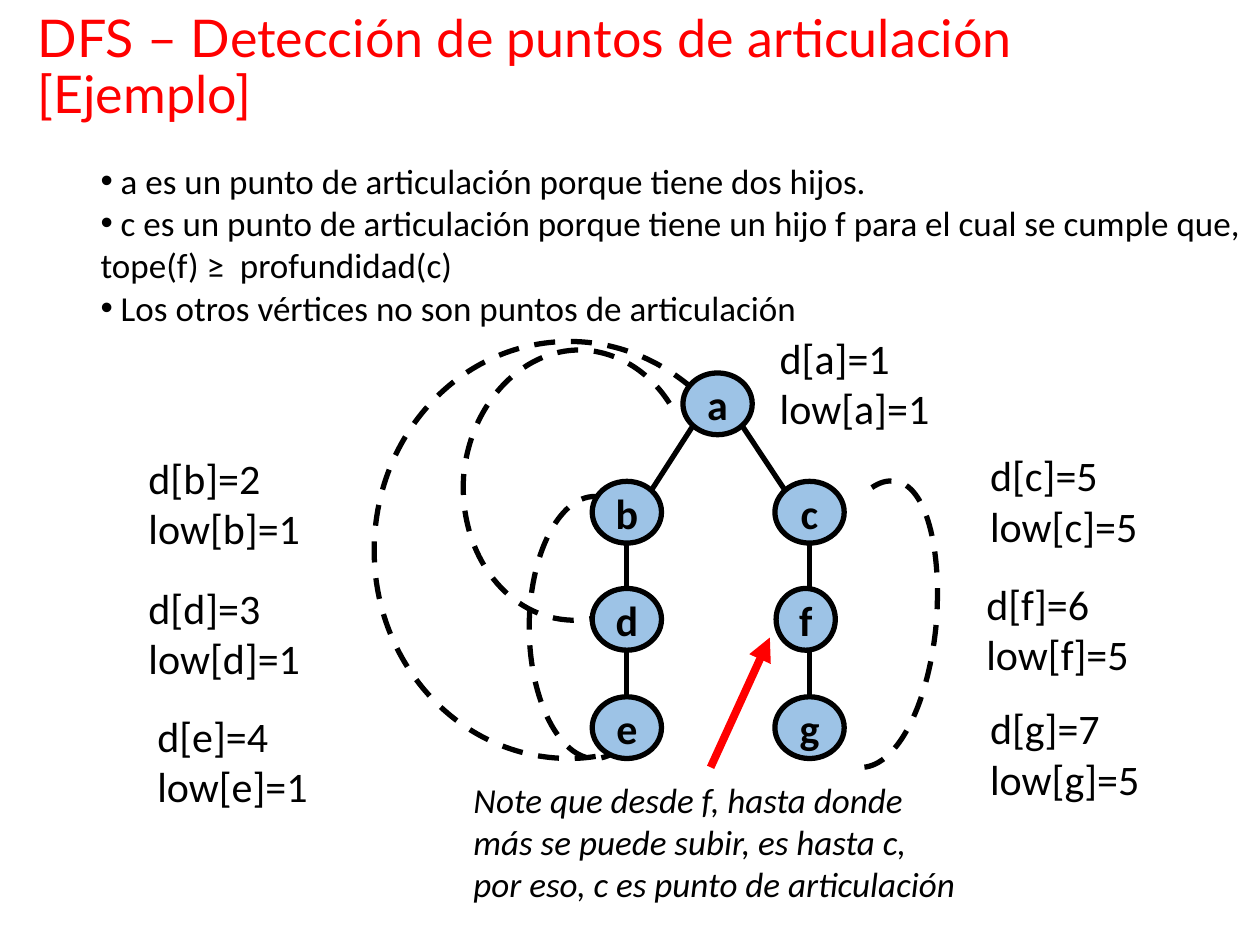
from lxml.etree import SubElement
from math import cos, sin, radians
from pptx import Presentation
from pptx.dml.color import RGBColor
from pptx.enum.dml import MSO_LINE
from pptx.enum.shapes import MSO_CONNECTOR as CONNECTOR, MSO_SHAPE as SHAPE
from pptx.enum.text import MSO_ANCHOR as ANCHOR, PP_ALIGN as ALIGN
from pptx.oxml.ns import qn
from pptx.util import Inches, Pt

BLACK, RED, BLUE = "000000", "FF0000", "9DC3E6"


def color(value):
    return RGBColor.from_string(value)


def write(frame, lines, size=24, font="Calibri", ink=BLACK, bold=False, italic=False,
          align=ALIGN.LEFT, anchor=ANCHOR.TOP, spacing=None, bullet=None, wrap=True):
    frame.word_wrap = wrap
    frame.vertical_anchor = anchor
    for index, line in enumerate(lines):
        paragraph = frame.add_paragraph() if index else frame.paragraphs[0]
        paragraph.text = line
        paragraph.alignment = align
        if spacing:
            paragraph.line_spacing = spacing
        if bullet:
            properties = paragraph._p.get_or_add_pPr()
            SubElement(properties, qn("a:buFont")).set("typeface", "Arial")
            SubElement(properties, qn("a:buChar")).set("char", bullet)
        style = paragraph.font
        style.size, style.name = Pt(size), font
        style.bold, style.italic = bold, italic
        style.color.rgb = color(ink)


def add_text(slide, box, lines, **style):
    frame = slide.shapes.add_textbox(*map(Inches, box)).text_frame
    write(frame, lines, **style)


def set_line(shape, ink=BLACK, width=3):
    shape.line.color.rgb = color(ink)
    shape.line.width = Pt(width)


def add_edge(slide, start, end, ink=BLACK, width=3, arrow=False):
    edge = slide.shapes.add_connector(CONNECTOR.STRAIGHT, *map(Inches, (*start, *end)))
    set_line(edge, ink, width)
    if arrow:
        SubElement(edge.line._get_or_add_ln(), qn("a:tailEnd")).set("type", "triangle")
    SubElement(edge._element.spPr, qn("a:effectLst"))


def add_back_edge(slide, left, top, controls):
    points = [(Inches(left + x), Inches(top + y)) for x, y in controls]
    builder = slide.shapes.build_freeform(*points[0])
    builder.add_line_segments(points[1:], close=False)
    curve = builder.convert_to_shape()
    outline = next(curve._element.iter(qn("a:pathLst")))[0]
    segments = outline.findall(qn("a:lnTo"))
    for first in range(0, len(segments), 3):
        bezier = SubElement(outline, qn("a:cubicBezTo"))
        for segment in segments[first:first + 3]:
            bezier.append(segment[0])
            outline.remove(segment)
    curve.shadow.inherit = False
    curve.fill.background()
    set_line(curve)
    curve.line.dash_style = MSO_LINE.DASH


def add_vertex(slide, name, left, top, width, height):
    vertex = slide.shapes.add_shape(SHAPE.OVAL, *map(Inches, (left, top, width, height)))
    vertex.shadow.inherit = False
    vertex.fill.solid()
    vertex.fill.fore_color.rgb = color(BLUE)
    set_line(vertex)
    write(vertex.text_frame, [name], bold=True, align=ALIGN.CENTER,
          anchor=ANCHOR.MIDDLE, wrap=False)


def add_tree(slide, left, top):
    width, height = 0.55, 0.49
    levels = [top + level for level in (0.25, 1.11, 1.96, 2.82)]
    columns = {"a": 2.45, "b": 1.73, "d": 1.73, "e": 1.73, "c": 3.18, "f": 3.19, "g": 3.18}
    rows = {"a": 0, "b": 1, "d": 2, "e": 3, "c": 1, "f": 2, "g": 3}

    root_x = left + columns["a"] + width / 2
    reach_x, reach_y = width / 2 * cos(radians(45)), height / 2 * sin(radians(45))
    for child, side in (("b", -1), ("c", 1)):
        child_x = left + columns[child] + width / 2
        add_edge(slide, (root_x + side * reach_x, levels[0] + height / 2 + reach_y),
                 (child_x - side * reach_x, levels[1] + height / 2 - reach_y))
        for upper, lower in zip(levels[1:], levels[2:]):
            add_edge(slide, (child_x, upper + height), (child_x, lower))

    back_edges = [
        [(1.87, 2.16), (1.76, 2.2), (1.64, 2.22), (1.53, 2.21), (1.03, 2.17), (0.67, 1.66),
         (0.71, 1.07), (0.76, 0.48), (1.2, 0.03), (1.69, 0.07), (1.99, 0.1), (2.25, 0.29),
         (2.4, 0.59)],
        [(1.95, 3.23), (1.89, 3.28), (1.82, 3.31), (1.75, 3.31), (1.47, 3.31), (1.23, 2.84),
         (1.23, 2.27), (1.23, 1.69), (1.47, 1.23), (1.75, 1.23), (1.77, 1.23), (1.79, 1.23),
         (1.81, 1.23)],
        [(2.04, 3.22), (1.88, 3.28), (1.71, 3.31), (1.55, 3.31), (0.69, 3.31), (0, 2.57),
         (0, 1.66), (0, 0.74), (0.69, 0), (1.55, 0), (1.94, 0), (2.31, 0.16), (2.6, 0.44)],
        [(3.95, 1.16), (4.01, 1.12), (4.07, 1.1), (4.13, 1.11), (4.38, 1.13), (4.51, 1.65),
         (4.46, 2.25), (4.4, 2.87), (4.16, 3.36), (3.88, 3.38), (3.87, 3.38), (3.86, 3.38),
         (3.85, 3.38)],
    ]
    for controls in back_edges:
        add_back_edge(slide, left, top, controls)

    add_edge(slide, (left + 2.67, top + 3.38), (left + 3.14, top + 2.35), RED, 4.5, arrow=True)
    for name, column in columns.items():
        add_vertex(slide, name, left + column, levels[rows[name]],
                   0.47 if name == "f" else width, height)


def add_values(slide, left, top):
    values = [("a", 1, 1, 5.01, 0), ("b", 2, 1, 0, 0.95), ("c", 5, 5, 6.68, 0.93),
              ("d", 3, 1, 0, 1.98), ("e", 4, 1, 0.07, 3), ("f", 6, 5, 6.65, 1.95),
              ("g", 7, 5, 6.68, 2.94)]
    for name, depth, low, x, y in values:
        add_text(slide, (left + x, top + y, 2.2, 0.91),
                 [f"d[{name}]={depth}", f"low[{name}]={low}"])


def add_title(slide, box):
    add_text(slide, box, ["DFS – Detección de puntos de articulación [Ejemplo]"],
             size=29.7, font="Lato", ink=RED, anchor=ANCHOR.MIDDLE, spacing=0.9)


def add_conclusions(slide, box):
    add_text(slide, box, [
        " a es un punto de articulación porque tiene dos hijos.",
        " c es un punto de articulación porque tiene un hijo f para el cual se cumple que, "
        "tope(f) ≥  profundidad(c)",
        " Los otros vértices no son puntos de articulación",
    ], size=20, bullet="•")


def add_note(slide, box):
    add_text(slide, box, ["Note que desde f, hasta donde más se puede subir, es hasta c, "
                          "por eso, c es punto de articulación"], size=20, italic=True)


def main():
    deck = Presentation()
    deck.slide_width, deck.slide_height = Inches(10), Inches(7.5)
    slide = deck.slides.add_slide(deck.slide_layouts[6])
    add_values(slide, 1.08, 2.59)
    add_note(slide, (3.66, 6.13, 4.07, 1.11))
    add_tree(slide, 2.97, 2.71)
    add_conclusions(slide, (0.7, 1.22, 9.38, 1.45))
    add_title(slide, (0.2, 0.17, 9.55, 0.75))
    deck.save("out.pptx")


if __name__ == "__main__":
    main()
